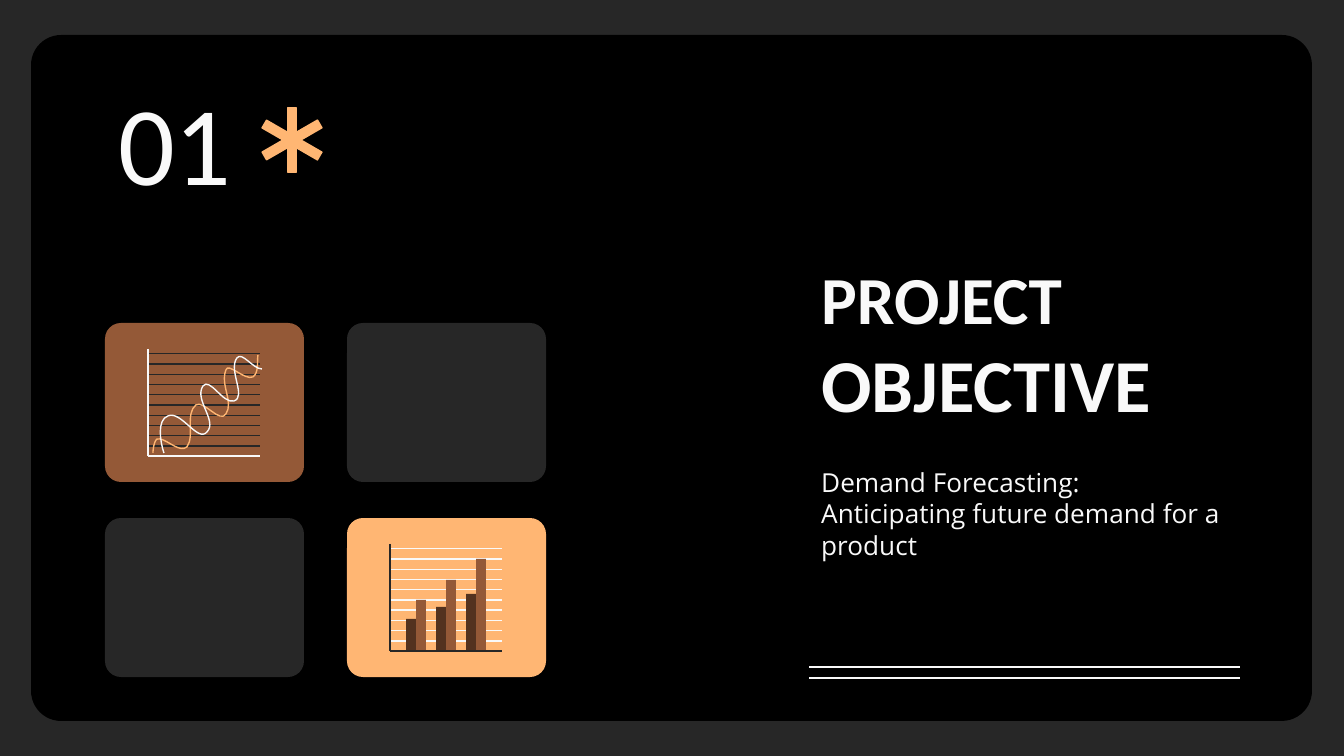
import pptx
import pptx.util
import pptx.dml.color
import pptx.enum.shapes
import pptx.enum.text
import pptx.oxml.ns
import lxml.etree

PX = 914400 / 134.4
SHAPES = pptx.enum.shapes.MSO_SHAPE
ANCHORS = pptx.enum.text.MSO_ANCHOR

BLACK, DARK, WHITE = "000000", "272727", "F9F9F9"
ORANGE, BROWN, DEEP_BROWN = "FFB673", "945937", "53321F"

CARD_WIDTH, CARD_HEIGHT = 199, 159
AXIS_LEFT, AXIS_RIGHT, AXIS_TOP, AXIS_BASE = 43, 155, 26, 133

ORANGE_CURVE = [
    (48, 130), (48, 125), (50, 113), (55, 116), (64, 118), (75, 130), (82, 124),
    (90, 113), (80, 91), (91, 82), (99, 77), (115, 101), (121, 91),
    (129, 79), (115, 62), (121, 47), (123, 39), (140, 58), (148, 54),
    (154, 50), (152, 39), (153, 32),
]
WHITE_CURVE = [
    (157, 46), (148, 46), (137, 28), (132, 35), (123, 47), (142, 74), (129, 78),
    (118, 81), (105, 54), (98, 63), (89, 77), (113, 98), (102, 109),
    (93, 120), (76, 87), (63, 93), (52, 97), (55, 118), (59, 130),
]


def emu(length):
    return pptx.util.Emu(round(length * PX))


def paint(format_part, color):
    format_part.solid()
    format_part.fore_color.rgb = pptx.dml.color.RGBColor.from_string(color)


def draw_outline(shape, color):
    paint(shape.line.fill, color)
    shape.line.width = pptx.util.Pt(0.75)


def add_box(shapes, left, top, width, height, color, radius=0):
    kind = SHAPES.ROUNDED_RECTANGLE if radius else SHAPES.RECTANGLE
    shape = shapes.add_shape(kind, emu(left), emu(top), emu(width), emu(height))
    shape.shadow.inherit = False
    paint(shape.fill, color)
    shape.line.fill.background()
    if radius:
        shape.adjustments[0] = radius
    return shape


def add_line(shapes, left, top, right, bottom, color):
    connector = shapes.add_connector(
        pptx.enum.shapes.MSO_CONNECTOR.STRAIGHT, emu(left), emu(top), emu(right), emu(bottom))
    draw_outline(connector, color)
    properties = connector._element.spPr
    lxml.etree.SubElement(properties, pptx.oxml.ns.qn("a:effectLst"))


def add_text(shapes, left, top, width, height, lines, font_name, anchor, bold=False):
    shape = shapes.add_textbox(emu(left), emu(top), emu(width), emu(height))
    frame = shape.text_frame
    frame.word_wrap = True
    frame.vertical_anchor = anchor
    frame.margin_left = frame.margin_right = pptx.util.Inches(0.1)
    frame.margin_top = frame.margin_bottom = pptx.util.Inches(0.1)
    paragraph = frame.paragraphs[0]
    for index, (text, size) in enumerate(lines):
        if index:
            paragraph.add_line_break()
        run = paragraph.add_run()
        run.text = text
        run.font.size = pptx.util.Pt(size)
    paragraph.font.name = font_name
    paragraph.font.bold = bold
    paragraph.font.color.rgb = pptx.dml.color.RGBColor.from_string(WHITE)


def add_curve(shapes, left, top, points, color):
    points = [(emu(left + x), emu(top + y)) for x, y in points]
    builder = shapes.build_freeform(*points[0])
    builder.add_line_segments(points[3::3], close=False)
    shape = builder.convert_to_shape()
    shape.shadow.inherit = False
    shape.fill.background()
    draw_outline(shape, color)
    segments = list(shape._element.iter(pptx.oxml.ns.qn("a:lnTo")))
    for index, segment in enumerate(segments):
        segment.clear()
        segment.tag = pptx.oxml.ns.qn("a:cubicBezTo")
        for x, y in points[3 * index + 1:3 * index + 4]:
            lxml.etree.SubElement(segment, pptx.oxml.ns.qn("a:pt"),
                                  x=str(x - shape.left), y=str(y - shape.top))


def add_card(shapes, left, top, color):
    add_box(shapes, left, top, CARD_WIDTH, CARD_HEIGHT, color, 0.1)


def add_grid(shapes, left, top, color):
    for row in range(10):
        y = top + 123 - row * 10.25
        add_line(shapes, left + AXIS_LEFT, y, left + AXIS_RIGHT, y, color)


def add_axes(shapes, left, top, color):
    x, base = left + AXIS_LEFT, top + AXIS_BASE
    add_line(shapes, x, base, left + AXIS_RIGHT, base, color)
    add_line(shapes, x, top + AXIS_TOP, x, base, color)


def add_curve_card(shapes, left, top):
    add_card(shapes, left, top, BROWN)
    add_grid(shapes, left, top, DARK)
    add_axes(shapes, left, top, WHITE)
    add_curve(shapes, left, top, ORANGE_CURVE, ORANGE)
    add_curve(shapes, left, top, WHITE_CURVE, WHITE)


def add_bar_card(shapes, left, top):
    add_card(shapes, left, top, ORANGE)
    add_grid(shapes, left, top, WHITE)
    for pair, heights in enumerate([(32, 51), (44, 71), (57, 92)]):
        for side, (height, color) in enumerate(zip(heights, (DEEP_BROWN, BROWN))):
            x = left + 59 + pair * 30 + side * 10
            add_box(shapes, x, top + AXIS_BASE - height, 10, height, color)
    add_axes(shapes, left, top, DARK)


def add_cards(shapes, left, top):
    right, lower = left + 242, top + 195
    add_card(shapes, right, top, DARK)
    add_card(shapes, left, lower, DARK)
    add_bar_card(shapes.add_group_shape().shapes, right, lower)
    add_curve_card(shapes.add_group_shape().shapes, left, top)


def add_asterisk(shapes, left, top, size):
    width = 9
    for angle in (0, 300, 60):
        arm = add_box(shapes, left + (size - width) / 2, top, width, size, ORANGE)
        draw_outline(arm, ORANGE)
        arm.rotation = angle


def add_number(shapes, left, top):
    add_text(shapes, left, top, 431, 124, [("01", 60)], "Calibri", ANCHORS.MIDDLE)


def add_objective(shapes, left, top, width):
    add_text(shapes, left, top, width, 172, [("PROJECT", 36), ("OBJECTIVE", 40)],
             "Calibri", ANCHORS.BOTTOM, bold=True)
    add_text(shapes, left, top + 184, width, 126,
             [("Demand Forecasting: Anticipating future demand for a product", 14)],
             "Open Sans", ANCHORS.TOP)


def add_double_rule(shapes, left, top, width):
    for y in (top, top + 11):
        add_line(shapes, left + width, y, left, y, WHITE)


def main():
    presentation = pptx.Presentation()
    presentation.slide_width = emu(1344)
    presentation.slide_height = emu(756)
    slide = presentation.slides.add_slide(presentation.slide_layouts[6])
    shapes = slide.shapes
    paint(slide.background.fill, DARK)
    add_box(shapes, 31, 35, 1281, 686, BLACK, 0.044)
    add_objective(shapes, 808, 269, 431)
    add_number(shapes, 105, 79)
    add_asterisk(shapes.add_group_shape().shapes, 260, 108, 64)
    add_double_rule(shapes.add_group_shape().shapes, 809, 667, 431)
    add_cards(shapes, 105, 323)
    presentation.save("out.pptx")


if __name__ == "__main__":
    main()
